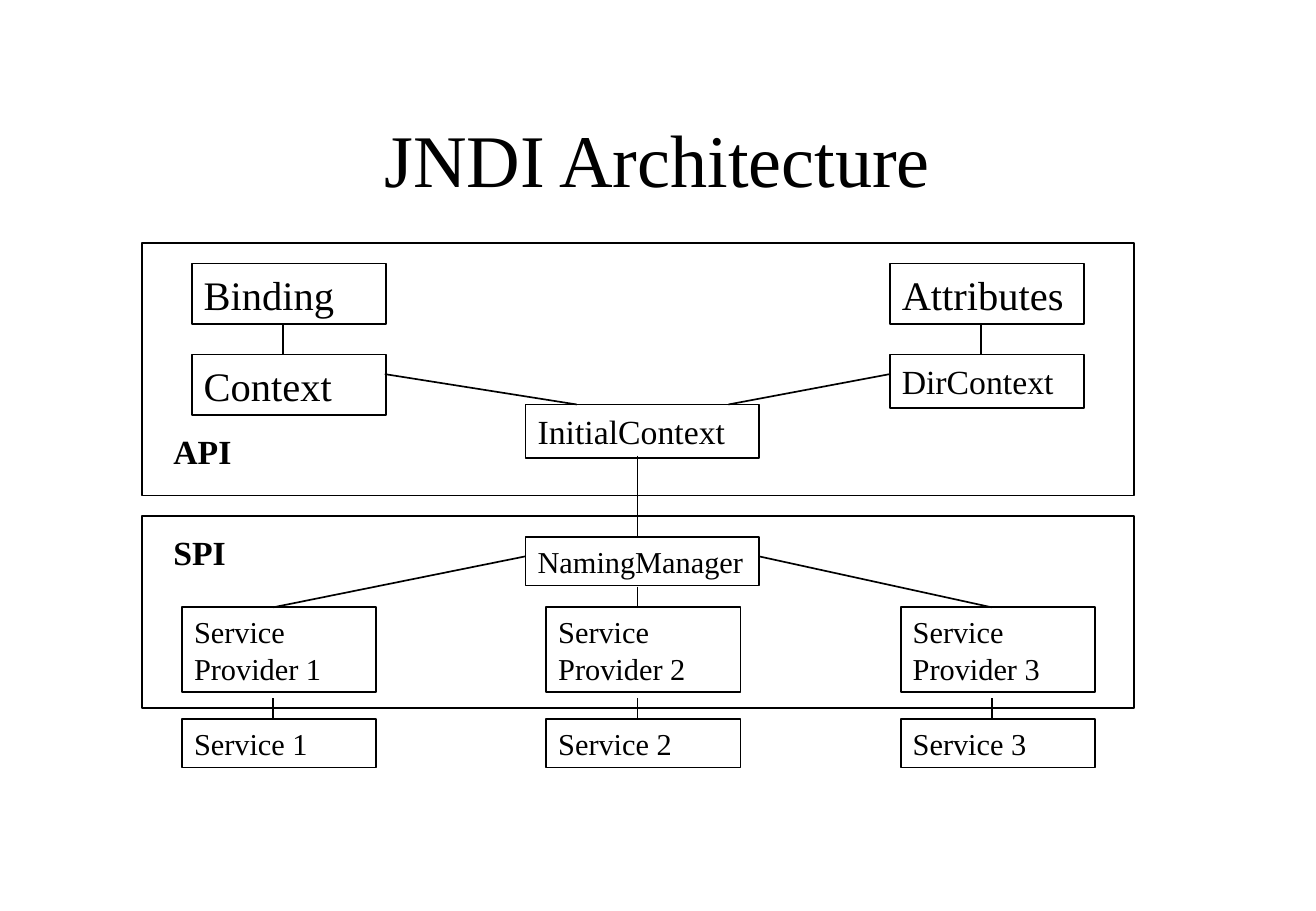
from dataclasses import dataclass

from lxml.etree import SubElement
from pptx import Presentation
from pptx.dml.color import RGBColor
from pptx.enum.shapes import MSO_CONNECTOR, MSO_SHAPE
from pptx.enum.text import MSO_ANCHOR, MSO_AUTO_SIZE, PP_ALIGN
from pptx.oxml.ns import qn
from pptx.util import Inches, Pt


@dataclass(frozen=True)
class Theme:
    font: str = "Times New Roman"
    ink: RGBColor = RGBColor(0, 0, 0)
    line: float = 1
    title: float = 44
    large: float = 24
    medium: float = 20
    small: float = 18
    space_before: float = 0.625  # share of the type size


THEME = Theme()


def write(sp, text, size, bold=False):
    """Put one left-aligned run into a shape that grows with its text."""
    tf = sp.text_frame
    tf.word_wrap = True
    tf.auto_size = MSO_AUTO_SIZE.SHAPE_TO_FIT_TEXT
    tf.vertical_anchor = MSO_ANCHOR.TOP
    p = tf.paragraphs[0]
    p.alignment = PP_ALIGN.LEFT
    p.space_before = Pt(size * THEME.space_before)
    r = p.add_run()
    r.text = text
    r.font.name = THEME.font
    r.font.size = Pt(size)
    r.font.bold = bold
    r.font.color.rgb = THEME.ink


def add_title(s, text):
    sp = s.shapes.add_textbox(Inches(0.81), Inches(0.67), Inches(9.21), Inches(1.25))
    write(sp, text, THEME.title)
    tf = sp.text_frame
    tf.auto_size = MSO_AUTO_SIZE.NONE
    tf.vertical_anchor = MSO_ANCHOR.MIDDLE
    p = tf.paragraphs[0]
    p.alignment = PP_ALIGN.CENTER
    p.space_before = Pt(0)


def add_frame(s, x, y, w, h):
    sp = s.shapes.add_shape(MSO_SHAPE.RECTANGLE, Inches(x), Inches(y), Inches(w), Inches(h))
    sp.shadow.inherit = False
    sp.fill.background()
    sp.line.color.rgb = THEME.ink
    sp.line.width = Pt(THEME.line)
    return sp


def add_box(s, text, size, x, y, w, h):
    write(add_frame(s, x, y, w, h), text, size)


def add_label(s, text, x, y, w):
    sp = s.shapes.add_textbox(Inches(x), Inches(y), Inches(w), Inches(0.44))
    write(sp, text, THEME.medium, bold=True)


def add_link(s, x1, y1, x2, y2):
    c = s.shapes.add_connector(
        MSO_CONNECTOR.STRAIGHT, Inches(x1), Inches(y1), Inches(x2), Inches(y2))
    c.line.color.rgb = THEME.ink
    c.line.width = Pt(THEME.line)
    SubElement(c._element.spPr, qn("a:effectLst"))


def main():
    prs = Presentation()
    prs.slide_width, prs.slide_height = Inches(10.84), Inches(7.5)
    s = prs.slides.add_slide(prs.slide_layouts[6])
    add_title(s, "JNDI Architecture")

    # API and SPI layers
    for y, h in ((2, 2.08), (4.25, 1.58)):
        add_frame(s, 1.17, y, 8.17, h)

    # API classes
    node_w, core_x, core_w = 1.6, 4.33, 1.92
    left, right = 1.58, 7.33
    add_box(s, "Binding", THEME.large, left, 2.17, node_w, 0.5)
    add_box(s, "Context", THEME.large, left, 2.92, node_w, 0.5)
    add_box(s, "Attributes", THEME.large, right, 2.17, node_w, 0.5)
    add_box(s, "DirContext", THEME.medium, right, 2.92, node_w, 0.44)
    add_box(s, "InitialContext", THEME.medium, core_x, 3.33, core_w, 0.44)

    # SPI manager
    add_box(s, "NamingManager", THEME.small, core_x, 4.42, core_w, 0.4)

    # Providers, each linked to its service
    for n, (x, link_x) in enumerate(((1.5, 2.25), (4.5, 5.25), (7.42, 8.17)), 1):
        add_box(s, f"Service Provider {n}", THEME.small, x, 5, node_w, 0.7)
        add_box(s, f"Service {n}", THEME.small, x, 5.92, node_w, 0.4)
        add_link(s, link_x, 5.75, link_x, 5.92)

    # Links between classes, manager and providers
    for ends in (
        (2.33, 2.67, 2.33, 2.92),
        (8.08, 2.67, 8.08, 2.92),
        (3.17, 3.08, 4.75, 3.33),
        (7.33, 3.08, 6, 3.33),
        (5.25, 3.75, 5.25, 4.42),
        (2.25, 5, 4.33, 4.58),
        (6.25, 4.58, 8.17, 5),
        (5.25, 4.83, 5.25, 5),
    ):
        add_link(s, *ends)

    # Layer names
    add_label(s, "API", 1.33, 3.5, 1)
    add_label(s, "SPI", 1.33, 4.33, 1.17)

    prs.save("out.pptx")


if __name__ == "__main__":
    main()
